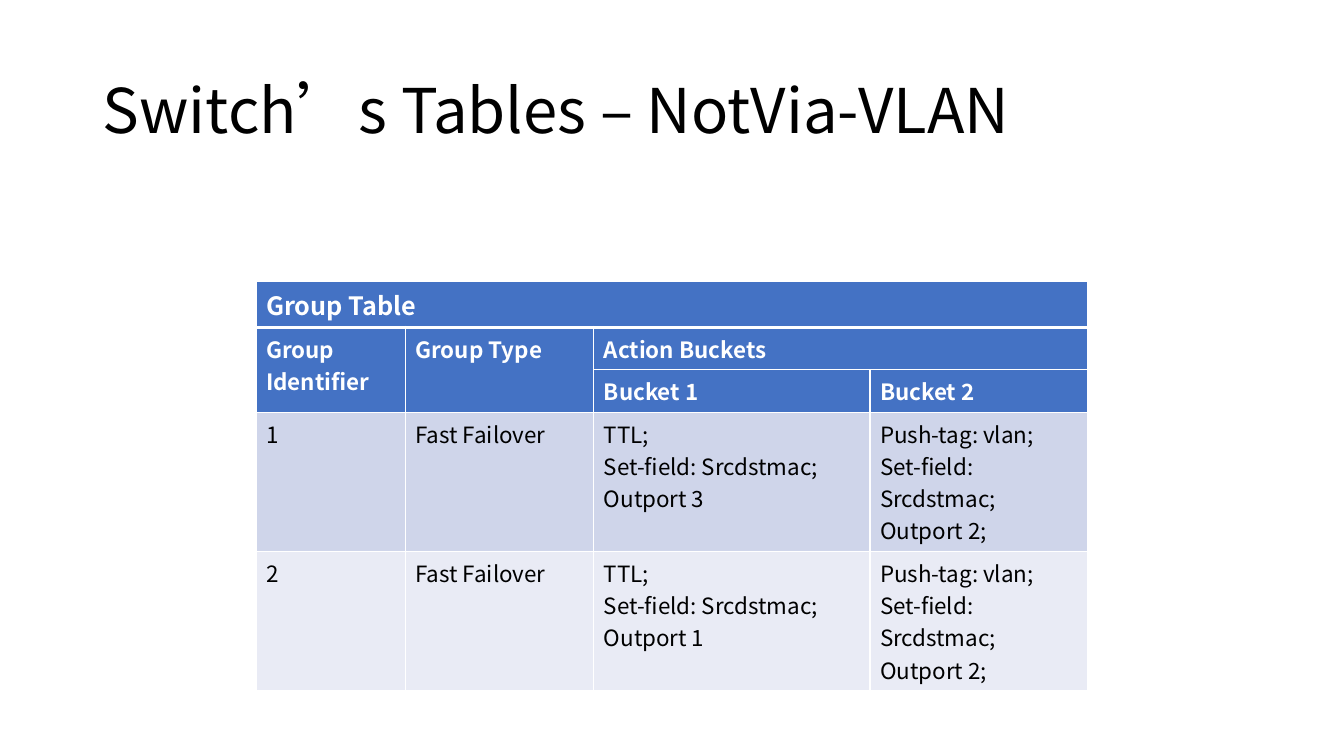
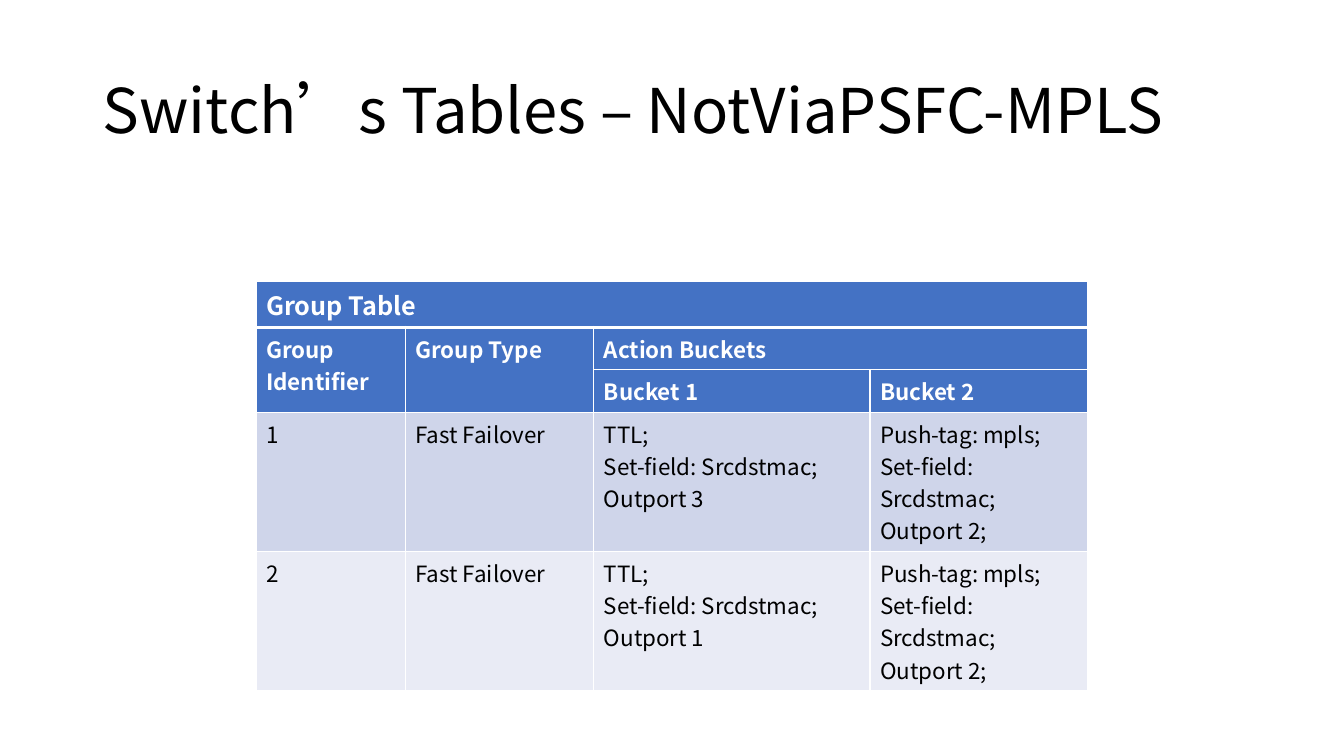
from lxml.etree import SubElement
from pptx import Presentation
from pptx.dml.color import RGBColor
from pptx.enum.text import MSO_ANCHOR
from pptx.oxml.ns import qn
from pptx.util import Inches, Pt

COLORS = {
    "title": "000000",
    "header": "4472C4",
    "header_text": "FFFFFF",
    "body_text": "000000",
    "odd_row": "CFD5EA",
    "even_row": "E9EBF5",
    "border": "FFFFFF",
}
FONT = "Noto Sans CJK SC"
TITLE_FORMAT = {"name": FONT, "size": Pt(44)}
CAPTION_FORMAT = {"name": FONT, "size": Pt(18), "bold": True}
HEADER_FORMAT = {"name": FONT, "size": Pt(16), "bold": True}
BODY_FORMAT = {"name": FONT, "size": Pt(16), "bold": False}

COLUMN_WIDTHS = [1.48, 1.87, 2.74, 2.16]
ROW_HEIGHTS = [0.46, 0.42, 0.42, 1.38, 1.38]
HEADINGS = [
    ["Group Table", "", "", ""],
    ["Group Identifier", "Group Type", "Action Buckets", ""],
    ["", "", "Bucket 1", "Bucket 2"],
]
MERGES = [((0, 0), (0, 3)), ((1, 0), (2, 0)), ((1, 1), (2, 1)), ((1, 2), (1, 3))]
# Group identifier and the output port of its first bucket
GROUPS = [(1, 3), (2, 1)]
# Title ending and the tag pushed by the second bucket
SCHEMES = [("NotVia-VLAN", "vlan"), ("NotViaPSFC-MPLS", "mpls")]


def style_text(text_frame, formats, color):
    """Apply the font formats and colour to every run."""
    for paragraph in text_frame.paragraphs:
        for run in paragraph.runs:
            for attribute, value in formats.items():
                setattr(run.font, attribute, value)
            run.font.color.rgb = RGBColor.from_string(COLORS[color])


def add_title(slide, title):
    """Add the slide title, centred vertically in its box."""
    box = slide.shapes.add_textbox(Inches(0.92), Inches(0.4), Inches(11.5), Inches(1.45))
    frame = box.text_frame
    frame.word_wrap = True
    frame.vertical_anchor = MSO_ANCHOR.MIDDLE
    frame.text = title
    frame.paragraphs[0].line_spacing = 0.9
    style_text(frame, TITLE_FORMAT, "title")


def add_borders(cell, top=1, bottom=1):
    """Draw the four cell borders, with widths in points."""
    properties = cell._tc.get_or_add_tcPr()
    for side, width in (("L", 1), ("R", 1), ("T", top), ("B", bottom)):
        line = SubElement(properties, qn(f"a:ln{side}"), w=str(Pt(width)))
        fill = SubElement(line, qn("a:solidFill"))
        SubElement(fill, qn("a:srgbClr"), val=COLORS["border"])


def row_style(row):
    """Return the fill, text colour and font formats of a table row."""
    if row < len(HEADINGS):
        return "header", "header_text", HEADER_FORMAT if row else CAPTION_FORMAT
    band = "even_row" if (row - len(HEADINGS)) % 2 else "odd_row"
    return band, "body_text", BODY_FORMAT


def group_rows(tag):
    """Return one row of cell texts for each failover group."""
    set_field = "Set-field: Srcdstmac;"
    return [
        [
            str(identifier),
            "Fast Failover",
            f"TTL;\n{set_field}\nOutport {port}",
            f"Push-tag: {tag};\n{set_field}\nOutport 2;",
        ]
        for identifier, port in GROUPS
    ]


def add_group_table(slide, tag):
    """Add the group table with its merged headings and banded rows."""
    texts = HEADINGS + group_rows(tag)
    table = slide.shapes.add_table(
        len(texts), len(COLUMN_WIDTHS), Inches(2.54), Inches(2.79),
        Inches(sum(COLUMN_WIDTHS)), Inches(sum(ROW_HEIGHTS)),
    ).table
    for column, width in zip(table.columns, COLUMN_WIDTHS):
        column.width = Inches(width)
    for row, height in zip(table.rows, ROW_HEIGHTS):
        row.height = Inches(height)
    for row, row_texts in enumerate(texts):
        fill, text_color, formats = row_style(row)
        for column, text in enumerate(row_texts):
            cell = table.cell(row, column)
            add_borders(cell, top=3 if row == 1 else 1, bottom=3 if row == 0 else 1)
            cell.fill.solid()
            cell.fill.fore_color.rgb = RGBColor.from_string(COLORS[fill])
            if text:
                cell.text_frame.text = text
                style_text(cell.text_frame, formats, text_color)
    for first, last in MERGES:
        table.cell(*first).merge(table.cell(*last))


def main():
    """Build one slide for each tagging scheme."""
    presentation = Presentation()
    presentation.slide_width = Inches(13.33)
    presentation.slide_height = Inches(7.5)
    blank = presentation.slide_layouts[6]
    for scheme, tag in SCHEMES:
        slide = presentation.slides.add_slide(blank)
        add_title(slide, f"Switch’s Tables – {scheme}")
        add_group_table(slide, tag)
    presentation.save("out.pptx")


main()
